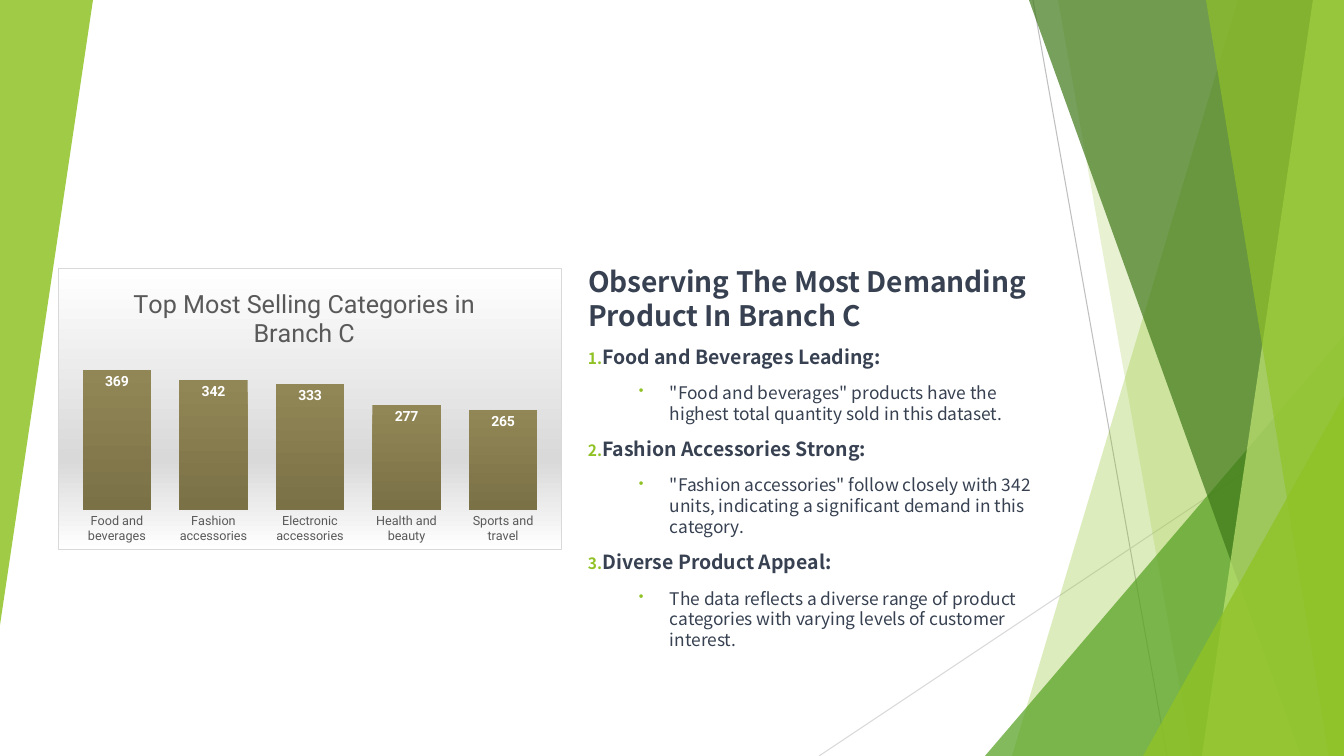
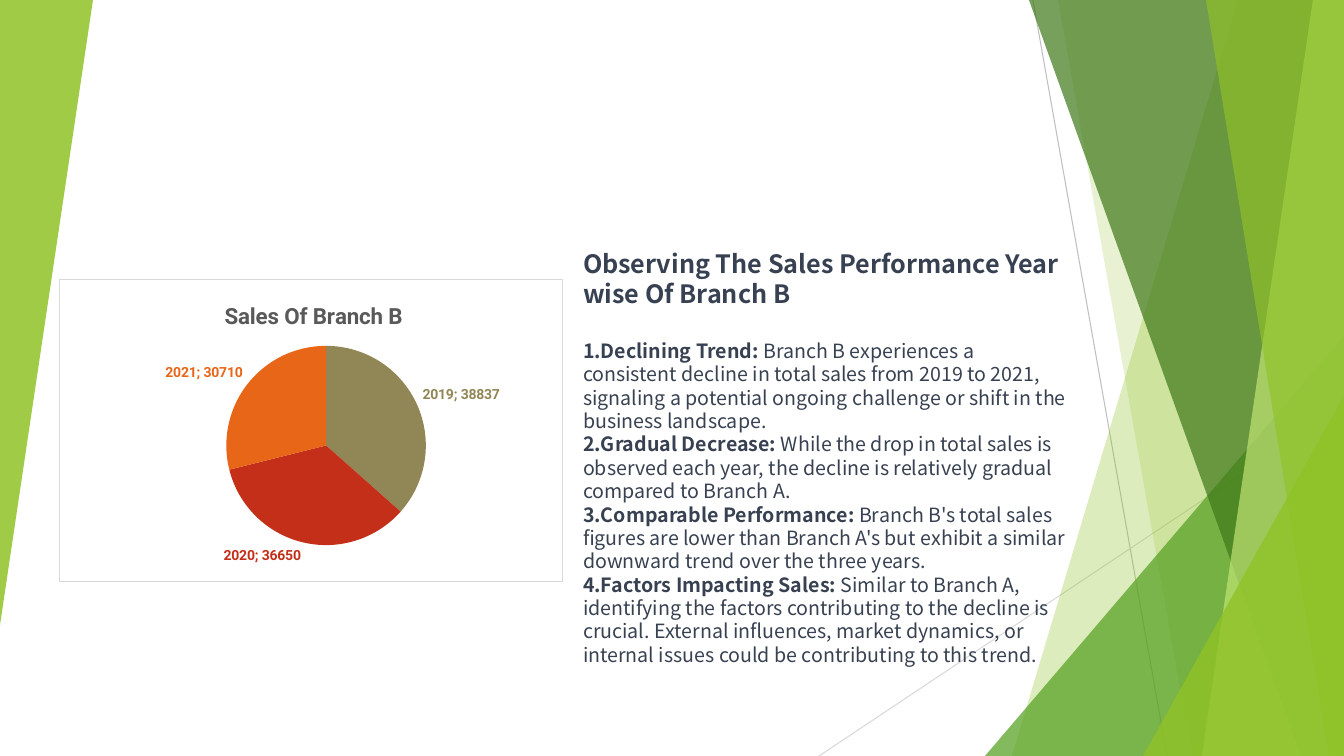
from lxml import etree
from pptx import Presentation
from pptx import util as u
from pptx.chart import data as cd
from pptx.dml import color as col
from pptx.enum import chart as ch
from pptx.enum import shapes, text
from pptx.oxml import parse_xml
from pptx.oxml.ns import nsdecls, qn

RGB = col.RGBColor
WHITE = RGB(0xFF, 0xFF, 0xFF)
SILVER = RGB(0xD9, 0xD9, 0xD9)
GRAY = RGB(0xBF, 0xBF, 0xBF)
DIM = RGB(0x59, 0x59, 0x59)
SLATE = RGB(0x37, 0x41, 0x51)
LIME = RGB(0x90, 0xC2, 0x26)
GREEN = RGB(0x54, 0xA0, 0x21)
MOSS = RGB(0x3F, 0x78, 0x19)
PALE = RGB(0xC0, 0xE4, 0x74)
OLIVE = RGB(0x91, 0x86, 0x55)
BROWN = RGB(0x7A, 0x71, 0x47)
RED = RGB(0xC4, 0x2F, 0x1A)
ORANGE = RGB(0xE7, 0x66, 0x18)

WIDE, HIGH = 1344, 756
SANS, ROBOTO = "Noto Sans CJK JP", "Roboto"
LEADING = 1.19

RULES = [
    (1033, 0, 1167, HIGH, GRAY),
    (WIDE, 406, 819, HIGH, SILVER),
]
FACETS = [
    ("band", (1238, 1012), LIME, 30),
    ("band", (1058, 1192), LIME, 20),
    ("peak", (985, 336, 359, 420, 0), GREEN, 72),
    ("band", (1029, 1301), MOSS, 70),
    ("band", (1313, 1202), PALE, 70),
    ("band", (1206, 1329), LIME, 65),
    ("peak", (1143, 396, 201, 360, 0), LIME, 80),
    ("peak", (0, 0, 93, 625, 180), LIME, 85),
]

DEMAND = [
    ("Food and Beverages Leading:",
     "\"Food and beverages\" products have the highest total quantity sold in this dataset."),
    ("Fashion Accessories Strong:",
     "\"Fashion accessories\" follow closely with 342 units, indicating a significant demand "
     "in this category."),
    ("Diverse Product Appeal:",
     "The data reflects a diverse range of product categories with varying levels of "
     "customer interest."),
]
TRENDS = [
    ("Declining Trend:",
     " Branch B experiences a consistent decline in total sales from 2019 to 2021, signaling "
     "a potential ongoing challenge or shift in the business landscape."),
    ("Gradual Decrease:",
     " While the drop in total sales is observed each year, the decline is relatively gradual "
     "compared to Branch A."),
    ("Comparable Performance:",
     " Branch B's total sales figures are lower than Branch A's but exhibit a similar downward "
     "trend over the three years."),
    ("Factors Impacting Sales:",
     " Similar to Branch A, identifying the factors contributing to the decline is crucial. "
     "External influences, market dynamics, or internal issues could be contributing to this "
     "trend."),
]


def px(*vals):
    return [round(v * 914400 / 100.8) for v in vals]


def paint(shape, color, alpha):
    shape.shadow.inherit = False
    shape.fill.solid()
    shape.fill.fore_color.rgb = color
    shape.line.fill.background()
    tint = shape.element.spPr.find(qn("a:solidFill"))[0]
    etree.SubElement(tint, qn("a:alpha")).set("val", str(alpha * 1000))


def rule(slide, x, y, right, low, color):
    line = slide.shapes.add_connector(shapes.MSO_CONNECTOR.STRAIGHT, *px(x, y, right, low))
    line.line.color.rgb = color
    line.line.width = u.Pt(0.75)
    etree.SubElement(line.element.spPr, qn("a:effectLst"))


def band(slide, top, low):
    pen = slide.shapes.build_freeform(*px(top, 0), scale=1.0)
    pen.add_line_segments([px(WIDE, 0), px(WIDE, HIGH), px(low, HIGH)], close=True)
    return pen.convert_to_shape()


def peak(slide, x, y, w, h, turn):
    shape = slide.shapes.add_shape(shapes.MSO_SHAPE.ISOSCELES_TRIANGLE, *px(x, y, w, h))
    shape.adjustments[0] = 1
    shape.rotation = turn
    return shape


def backdrop(slide, layout):
    for spot in list(layout.placeholders)[1:]:
        layout.shapes.element.remove(spot.element)
    for item in RULES:
        rule(slide, *item)
    make = {"band": band, "peak": peak}
    for kind, box, color, alpha in FACETS:
        paint(make[kind](slide, *box), color, alpha)
    for shape in list(slide.shapes):
        if not shape.is_placeholder:
            layout.shapes.element.append(shape.element)


def frame(shape, box):
    shape.left, shape.top, shape.width, shape.height = px(*box)
    body = shape.text_frame
    body.word_wrap = True
    body.auto_size = text.MSO_AUTO_SIZE.NONE
    body.vertical_anchor = text.MSO_ANCHOR.TOP
    body.margin_left = body.margin_right = body.margin_top = body.margin_bottom = 0
    return body


def write(para, parts, size, before=0):
    para.alignment = text.PP_ALIGN.LEFT
    para.line_spacing = u.Pt(round(size * LEADING, 1))
    para.space_before = u.Pt(before)
    for words, bold in parts:
        run = para.add_run()
        run.text = words
        run.font.name = SANS
        run.font.size = u.Pt(size)
        run.font.bold = bold
        run.font.color.rgb = SLATE


def bullet(para, mark=None, color=None, left=0, hang=0):
    props = para._p.get_or_add_pPr()
    props.set("marL", str(px(left)[0]))
    props.set("indent", str(px(-hang)[0]))
    if color is not None:
        tint = etree.SubElement(props, qn("a:buClr"))
        etree.SubElement(tint, qn("a:srgbClr")).set("val", str(color))
        etree.SubElement(props, qn("a:buSzPct")).set("val", "80000")
    if mark:
        etree.SubElement(props, qn("a:buChar")).set("char", mark)
    else:
        etree.SubElement(props, qn("a:buAutoNum")).set("type", "arabicPeriod")


def lines(body):
    yield body.paragraphs[0]
    while True:
        yield body.add_paragraph()


def heading(slide, box, words, size):
    body = frame(slide.shapes.title, box)
    write(body.paragraphs[0], [(words, True)], size)


def outline(slide, box, items):
    feed = lines(frame(slide.shapes.add_textbox(0, 0, 0, 0), box))
    for i, (head, note) in enumerate(items):
        para = next(feed)
        bullet(para, color=LIME)
        write(para, [(head, True)], 13.9, 10 if i else 0)
        para = next(feed)
        para.level = 1
        bullet(para, "•", LIME, 82, 31)
        write(para, [(note, False)], 12.4, 10)


def listing(slide, box, items):
    feed = lines(frame(slide.shapes.add_textbox(0, 0, 0, 0), box))
    for head, note in items:
        para = next(feed)
        bullet(para)
        write(para, [(head, True), (note, False)], 14)


def settle(node, index, **spots):
    layout = node.find(qn("c:layout"))
    if layout is None:
        layout = parse_xml(f"<c:layout {nsdecls('c')}/>")
        node.insert(index, layout)
    hand = etree.SubElement(layout, qn("c:manualLayout"))
    if "w" in spots:
        etree.SubElement(hand, qn("c:layoutTarget")).set("val", "inner")
    for key in "xy":
        etree.SubElement(hand, qn(f"c:{key}Mode")).set("val", "edge")
    for key, val in spots.items():
        etree.SubElement(hand, qn(f"c:{key}")).set("val", str(val))


def panel(chart, stops):
    marks = "".join(
        f'<a:gs pos="{pos * 1000}"><a:srgbClr val="{color}"/></a:gs>' for pos, color in stops)
    root = chart.element
    core = root.find(qn("c:chart"))
    core.addnext(parse_xml(
        f"<c:spPr {nsdecls('c', 'a')}><a:gradFill><a:gsLst>{marks}</a:gsLst>"
        f'<a:lin ang="5400000" scaled="0"/></a:gradFill><a:ln w="9525"><a:solidFill>'
        f'<a:srgbClr val="{SILVER}"/></a:solidFill></a:ln></c:spPr>'))
    if root.find(qn("c:roundedCorners")) is None:
        core.addprevious(parse_xml(f'<c:roundedCorners {nsdecls("c")} val="0"/>'))


def graph(slide, box, kind, cats, vals, name, size, bold, spot, plot, stops):
    data = cd.CategoryChartData()
    data.categories = cats
    data.add_series("Series 1", vals)
    chart = slide.shapes.add_chart(kind, *px(*box), data).chart
    chart.has_legend = False
    chart.font.name = ROBOTO
    chart.font.size = u.Pt(10)
    chart.has_title = True
    title = chart.chart_title
    run = title.text_frame.paragraphs[0].add_run()
    run.text = name
    run.font.name = ROBOTO
    run.font.size = u.Pt(size)
    run.font.bold = bold
    run.font.color.rgb = DIM
    title.include_in_layout = False
    settle(title.element, 1, x=spot[0], y=spot[1])
    area = chart.element.find(qn("c:chart")).find(qn("c:plotArea"))
    settle(area, 0, **dict(zip("xywh", plot)))
    panel(chart, stops)
    return chart


def style(font, color):
    font.name = ROBOTO
    font.size = u.Pt(10)
    font.bold = True
    font.color.rgb = color


def columns(slide, box):
    cats = ["Food and beverages", "Fashion accessories", "Electronic accessories",
            "Health and beauty", "Sports and travel"]
    chart = graph(slide, box, ch.XL_CHART_TYPE.COLUMN_CLUSTERED, cats,
                  [369, 342, 333, 277, 265], "Top Most Selling Categories in Branch C",
                  18, False, (0.14, 0.05), (0.02, 0.32, 0.96, 0.54),
                  [(0, WHITE), (68, SILVER), (100, WHITE)])
    axis = chart.category_axis
    axis.major_tick_mark = ch.XL_TICK_MARK.NONE
    axis.format.line.fill.background()
    labels = axis.tick_labels.font
    labels.name, labels.size, labels.color.rgb = ROBOTO, u.Pt(9), DIM
    scale = chart.value_axis
    scale.visible = scale.has_major_gridlines = False
    scale.minimum_scale, scale.maximum_scale = 0, 400
    plot = chart.plots[0]
    plot.gap_width = 41
    plot.vary_by_categories = False
    fill = plot.series[0].format.fill
    fill.gradient()
    fill.gradient_angle = 270
    for stop, color in zip(fill.gradient_stops, (OLIVE, BROWN)):
        stop.color.rgb = color
    marks = plot.series[0].data_labels
    marks.show_value = True
    marks.position = ch.XL_LABEL_POSITION.INSIDE_END
    style(marks.font, WHITE)


def pie(slide, box):
    chart = graph(slide, box, ch.XL_CHART_TYPE.PIE, ["2019", "2020", "2021"],
                  [38837, 36650, 30710], "Sales Of Branch B", 16, True, (0.32, 0.06),
                  (0.33, 0.22, 0.4, 0.66), [(0, WHITE), (100, WHITE)])
    points = chart.plots[0].series[0].points
    for i, color in enumerate((OLIVE, RED, ORANGE)):
        look = points[i].format
        look.fill.solid()
        look.fill.fore_color.rgb = color
        look.line.fill.background()
        mark = points[i].data_label
        style(mark.font, color)
        mark.position = ch.XL_LABEL_POSITION.OUTSIDE_END
    for node in chart.element.iter(qn("c:dLbl")):
        node.find(qn("c:showCatName")).set("val", "1")
        etree.SubElement(node, qn("c:separator")).text = "; "


def main():
    deck = Presentation()
    deck.slide_width, deck.slide_height = px(WIDE, HIGH)
    layout = deck.slide_layouts[5]

    demand = deck.slides.add_slide(layout)
    backdrop(demand, layout)
    heading(demand, (588, 265, 466, 68), "Observing The Most Demanding Product In Branch C", 20.1)
    outline(demand, (588, 345, 466, 310), DEMAND)
    columns(demand, (58, 268, 504, 282))

    sales = deck.slides.add_slide(layout)
    pie(sales, (59, 279, 504, 303))
    heading(sales, (583, 249, 485, 60), "Observing The Sales Performance Year wise Of Branch B", 18)
    listing(sales, (583, 339, 485, 332), TRENDS)
    deck.save("out.pptx")


if __name__ == "__main__":
    main()
